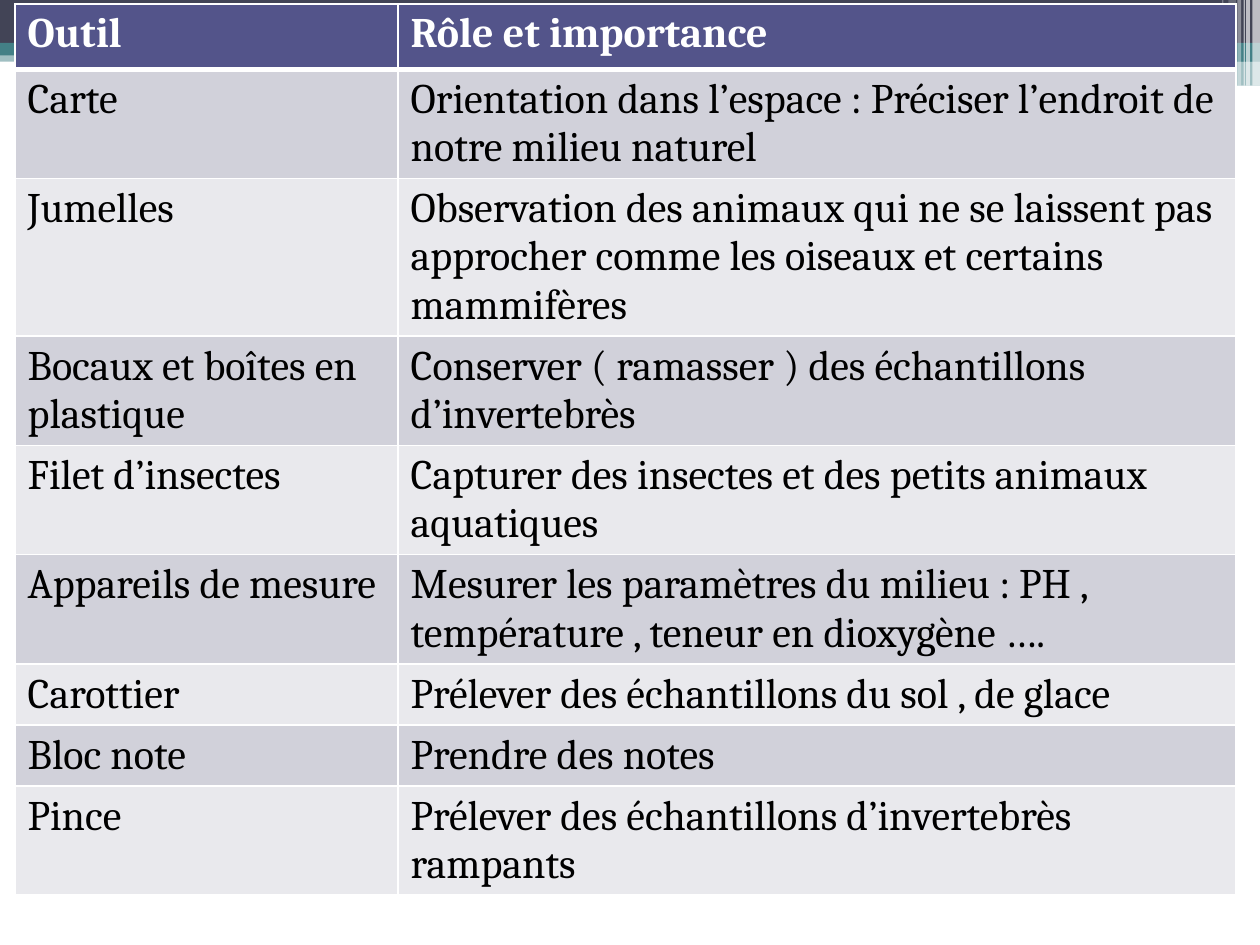
from dataclasses import dataclass

from lxml.etree import SubElement
from pptx import Presentation
from pptx.dml.color import RGBColor
from pptx.enum.shapes import MSO_SHAPE
from pptx.oxml.ns import qn
from pptx.util import Inches, Pt


@dataclass
class Theme:
    font: str = "Cambria"
    size: int = 24
    dark: str = "424456"
    teal: str = "438086"
    white: str = "FFFFFF"
    black: str = "000000"
    head: str = "53548A"
    odd: str = "D1D1DA"
    even: str = "E9E9ED"


theme = Theme()


def add_bar(slide, left, top, width, height, color, alpha=100, kind=MSO_SHAPE.RECTANGLE):
    bar = slide.shapes.add_shape(kind, Inches(left), Inches(top), Inches(width), Inches(height))
    bar.shadow.inherit = False
    bar.line.fill.background()
    bar.fill.solid()
    bar.fill.fore_color.rgb = RGBColor.from_string(color)
    if alpha < 100:
        tint = next(bar._element.spPr.iter(qn("a:srgbClr")))
        SubElement(tint, qn("a:alpha"), val=str(alpha * 1000))
    return bar


def set_edge(cell, side, width):
    line = SubElement(cell._tc.get_or_add_tcPr(), qn("a:ln" + side), w=str(Pt(width)))
    fill = SubElement(line, qn("a:solidFill"))
    SubElement(fill, qn("a:srgbClr"), val=theme.white)


deck = Presentation()
deck.slide_width = Inches(10)
deck.slide_height = Inches(7.5)
slide = deck.slides.add_slide(deck.slide_layouts[6])

bands = [
    (0, 0.4, 10, 0.09, theme.teal, 50),
    (0, 0, 10, 0.34, theme.dark),
    (0, 0.34, 10, 0.1, theme.teal),
    (5.92, 0.39, 4.08, 0.1, theme.teal),
    (5.92, 0.48, 4.08, 0.2, theme.teal, 50),
]
for band in bands:
    add_bar(slide, *band)

for left, top, width, height in [(5.91, 0.54, 3.35, 0.03), (8.06, 0.64, 1.75, 0.04)]:
    strip = add_bar(slide, left, top, width, height, theme.white, kind=MSO_SHAPE.ROUNDED_RECTANGLE)
    strip.adjustments[0] = 0.17

stripes = [
    (9.94, 0.06, 0.68, 65),
    (9.89, 0.03, 0.68, 65),
    (9.87, 0.01, 0.68, 60),
    (9.82, 0.03, 0.68, 40),
    (9.75, 0.06, 0.64, 20),
    (9.7, 0.01, 0.64, 30),
]
for left, width, height, alpha in stripes:
    add_bar(slide, left, 0, width, height, theme.white, alpha)

tools = [
    (0.52, "Outil", "Rôle et importance"),
    (0.85, "Carte", "Orientation dans l’espace : Préciser l’endroit de notre milieu naturel"),
    (1.22, "Jumelles", "Observation des animaux qui ne se laissent pas approcher comme les oiseaux et certains mammifères"),
    (0.85, "Bocaux et boîtes en plastique", "Conserver ( ramasser ) des échantillons d’invertebrès"),
    (0.85, "Filet d’insectes", "Capturer des insectes et des petits animaux aquatiques"),
    (0.85, "Appareils de mesure", "Mesurer les paramètres du milieu : PH , température , teneur en dioxygène …."),
    (0.47, "Carottier", "Prélever des échantillons du sol , de glace"),
    (0.47, "Bloc note", "Prendre des notes"),
    (0.85, "Pince", "Prélever des échantillons d’invertebrès rampants"),
]
widths = [3.04, 6.65]
total = sum(height for height, *_ in tools)
table = slide.shapes.add_table(
    len(tools), len(widths), Inches(0.12), Inches(0.03), Inches(sum(widths)), Inches(total)
).table
for column, width in zip(table.columns, widths):
    column.width = Inches(width)

for row, (height, *texts) in enumerate(tools):
    table.rows[row].height = Inches(height)
    shade = theme.head if row == 0 else theme.odd if row % 2 else theme.even
    for col, text in enumerate(texts):
        cell = table.cell(row, col)
        for side in "LRTB":
            thick = (row, side) in [(0, "B"), (1, "T")]
            set_edge(cell, side, 3 if thick else 1)
        cell.fill.solid()
        cell.fill.fore_color.rgb = RGBColor.from_string(shade)
        cell.text = text
        font = cell.text_frame.paragraphs[0].font
        font.name = theme.font
        font.size = Pt(theme.size)
        font.bold = row == 0
        font.color.rgb = RGBColor.from_string(theme.black if row else theme.white)

deck.save("out.pptx")
